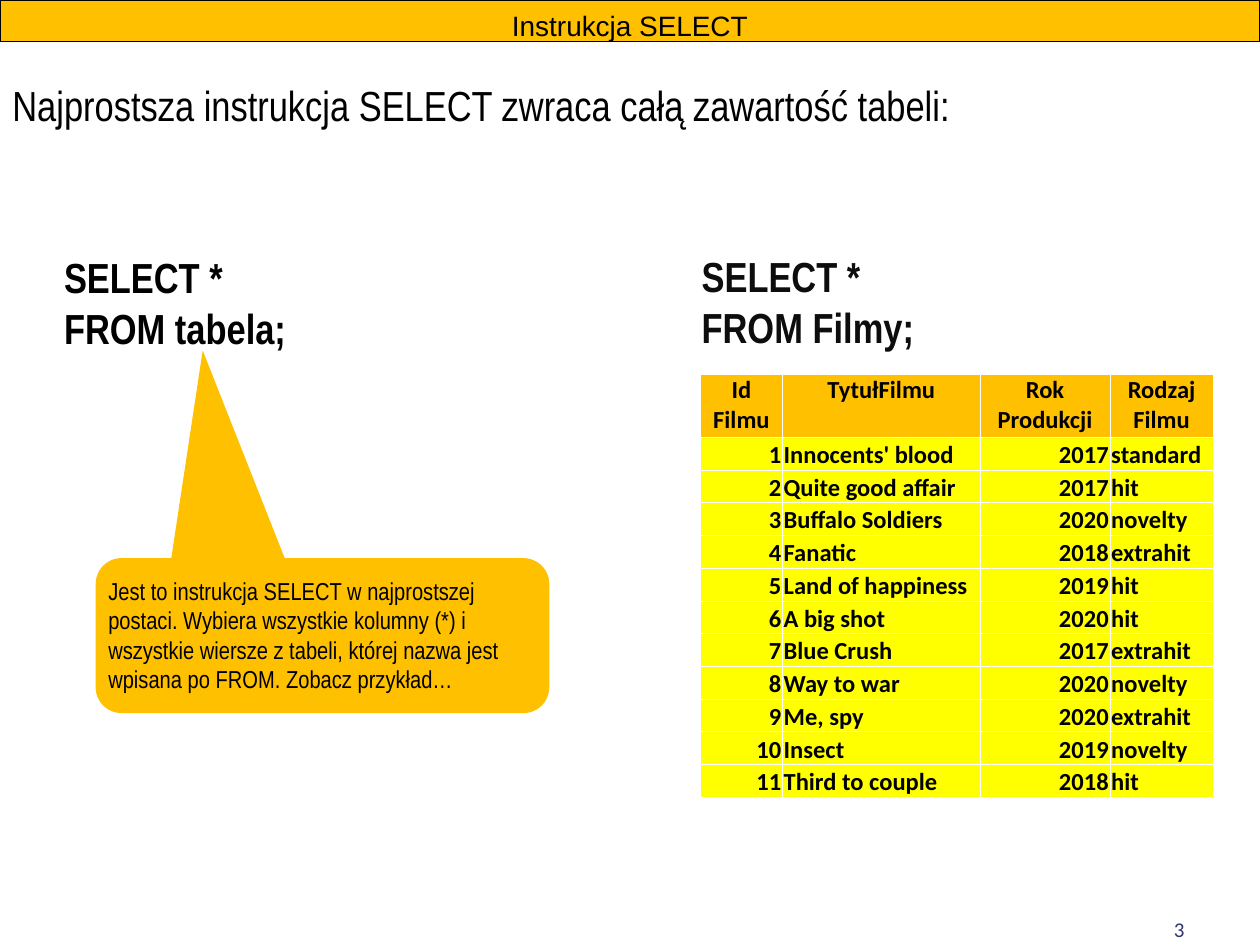
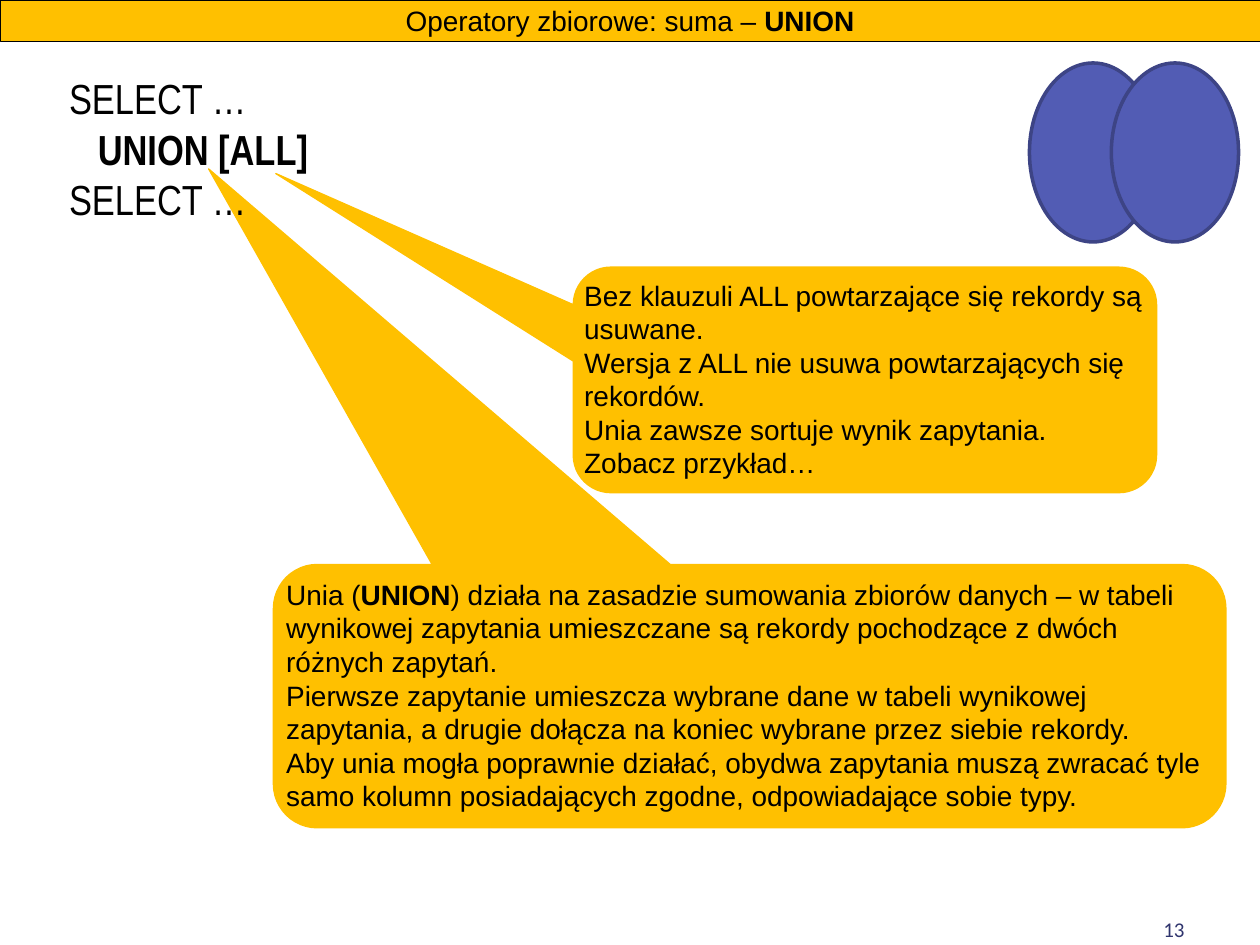
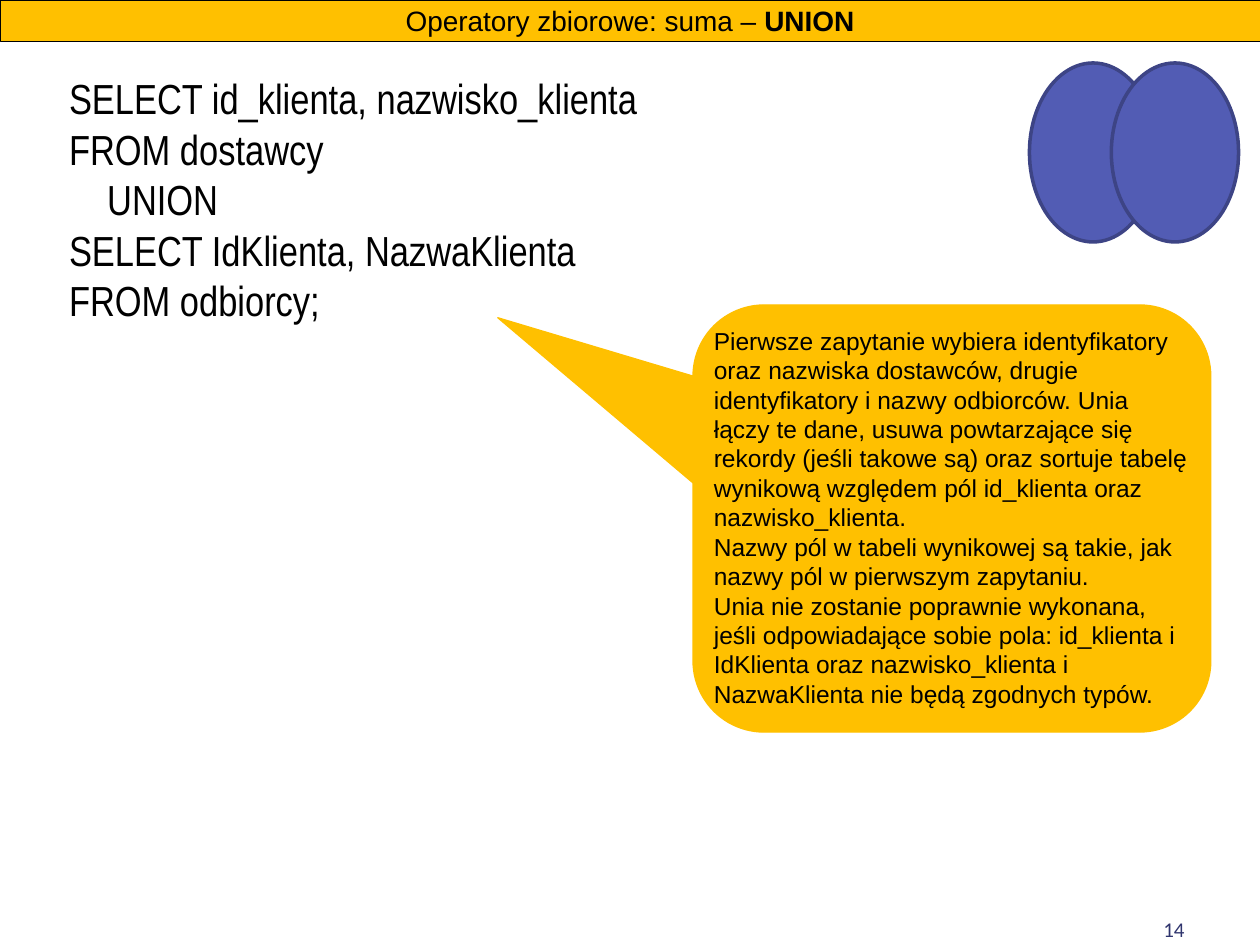
from dataclasses import dataclass

from lxml import etree
from pptx import Presentation
from pptx.dml.color import RGBColor
from pptx.enum import shapes, text
from pptx.oxml import ns
from pptx.util import Pt

# Shared colours, fonts and measures
AMBER = RGBColor(0xFF, 0xC0, 0x00)
YELLOW = RGBColor(0xFF, 0xFF, 0x00)
BLACK = RGBColor(0x00, 0x00, 0x00)
NEAR_BLACK = RGBColor(0x0D, 0x0D, 0x0D)
WHITE = RGBColor(0xFF, 0xFF, 0xFF)
NAVY = RGBColor(0x30, 0x35, 0x6E)
BLUE = RGBColor(0x52, 0x5C, 0xB4)
DARK_BLUE = RGBColor(0x3D, 0x44, 0x85)
SANS, NARROW, TABLE_FONT = "Arial", "Arial Narrow", "Calibri"
SLIDE_WIDTH, SLIDE_HEIGHT = 720, 540
LEFT, CENTER, RIGHT = text.PP_ALIGN.LEFT, text.PP_ALIGN.CENTER, text.PP_ALIGN.RIGHT
TOP, MIDDLE, BOTTOM = text.MSO_ANCHOR.TOP, text.MSO_ANCHOR.MIDDLE, text.MSO_ANCHOR.BOTTOM
DEFAULT_INSETS = (7.2, 3.6, 7.2, 3.6)
NO_INSETS = (0, 0, 0, 0)


@dataclass(frozen=True)
class Box:
    left: float
    top: float
    width: float
    height: float

    def lengths(self) -> tuple:
        return Pt(self.left), Pt(self.top), Pt(self.width), Pt(self.height)


@dataclass(frozen=True)
class Style:
    font: str
    size: float
    color: RGBColor = BLACK
    bold: bool = False
    align: text.PP_ALIGN = LEFT


@dataclass(frozen=True)
class Run:
    text: str
    bold: bool = False


@dataclass(frozen=True)
class Line:
    runs: tuple[Run, ...]
    indent: float = 0


@dataclass(frozen=True)
class Callout:
    box: Box
    tip: tuple[float, float]
    lines: list[Line]
    style: Style
    insets: tuple = NO_INSETS
    outlined: bool = True


CODE = Style(NARROW, 24)
BAND = Style(SANS, 16, align=CENTER)
NUMBER = Style(TABLE_FONT, 12, NAVY, align=RIGHT)


def plain(*texts: str) -> list[Line]:
    return [Line((Run(content),)) for content in texts]


# Text helpers
def write(frame, lines: list[Line], style: Style) -> None:
    for index, line in enumerate(lines):
        paragraph = frame.paragraphs[0] if index == 0 else frame.add_paragraph()
        paragraph.alignment = style.align
        if line.indent:
            paragraph._p.get_or_add_pPr().set("marL", str(Pt(line.indent)))
        for part in line.runs:
            for number, piece in enumerate(part.text.split("\n")):
                if number:
                    paragraph.add_line_break()
                run = paragraph.add_run()
                run.text = piece
                run.font.name = style.font
                run.font.size = Pt(style.size)
                run.font.bold = style.bold or part.bold
                run.font.color.rgb = style.color


def set_frame(frame, insets: tuple, anchor: text.MSO_ANCHOR) -> None:
    frame.word_wrap = True
    frame.vertical_anchor = anchor
    (frame.margin_left, frame.margin_top,
     frame.margin_right, frame.margin_bottom) = map(Pt, insets)


def add_text(slide, box: Box, lines: list[Line], style: Style,
             anchor: text.MSO_ANCHOR = TOP) -> None:
    frame = slide.shapes.add_textbox(*box.lengths()).text_frame
    set_frame(frame, DEFAULT_INSETS, anchor)
    write(frame, lines, style)


# Shape helpers
def add_filled(parent, kind, box: Box, fill: RGBColor,
               line: RGBColor | None = None, line_width: float = 0):
    shape = parent.shapes.add_shape(kind, *box.lengths())
    shape.shadow.inherit = False
    shape.fill.solid()
    shape.fill.fore_color.rgb = fill
    if line is None:
        shape.line.fill.background()
    else:
        shape.line.color.rgb = line
        shape.line.width = Pt(line_width)
    return shape


def add_callout(slide, callout: Callout) -> None:
    shape = add_filled(slide, shapes.MSO_SHAPE.ROUNDED_RECTANGULAR_CALLOUT, callout.box,
                       AMBER, AMBER if callout.outlined else None, 0.75)
    for index, value in enumerate((*callout.tip, 0.16667)):
        shape.adjustments[index] = value
    set_frame(shape.text_frame, callout.insets, TOP)
    write(shape.text_frame, callout.lines, callout.style)


def add_band(slide, runs: tuple[Run, ...], line_width: float, insets: tuple,
             anchor: text.MSO_ANCHOR) -> None:
    band = add_filled(slide, shapes.MSO_SHAPE.RECTANGLE, Box(0, 0, SLIDE_WIDTH, 23.76),
                      AMBER, BLACK, line_width)
    set_frame(band.text_frame, insets, anchor)
    write(band.text_frame, [Line(runs)], BAND)


def add_union_band(slide) -> None:
    add_band(slide, (Run("Operatory zbiorowe: suma – "), Run("UNION", True)),
             0.25, (2.88, 1.44, 2.88, 1.44), MIDDLE)


def add_set_diagram(slide) -> None:
    group = slide.shapes.add_group_shape()
    for left in (588.24, 635.04):
        add_filled(group, shapes.MSO_SHAPE.OVAL, Box(left, 36, 72.72, 102.24),
                   BLUE, DARK_BLUE, 2)


def add_number(slide, number: int) -> None:
    add_text(slide, Box(516.24, 504, 167.76, 37.44), plain(str(number)), NUMBER, BOTTOM)


# Table helpers
def set_borders(cell, color: RGBColor, width: float) -> None:
    properties = cell._tc.get_or_add_tcPr()
    for index, side in enumerate(("a:lnL", "a:lnR", "a:lnT", "a:lnB")):
        border = etree.Element(ns.qn(side), w=str(Pt(width)))
        fill = etree.SubElement(border, ns.qn("a:solidFill"))
        etree.SubElement(fill, ns.qn("a:srgbClr"), val=str(color))
        properties.insert(index, border)


def add_film_table(slide, box: Box, widths: list[float], header_height: float,
                   rows: list[tuple]) -> None:
    table = slide.shapes.add_table(len(rows), len(widths), *box.lengths()).table
    table.first_row = table.horz_banding = False
    for column, width in zip(table.columns, widths):
        column.width = Pt(width)
    body_height = (box.height - header_height) / (len(rows) - 1)
    for row_index, values in enumerate(rows):
        header = row_index == 0
        table.rows[row_index].height = Pt(header_height if header else body_height)
        for column_index, value in enumerate(values):
            cell = table.cell(row_index, column_index)
            cell.fill.solid()
            cell.fill.fore_color.rgb = AMBER if header else YELLOW
            set_borders(cell, WHITE, 0.5)
            cell.margin_left = cell.margin_top = cell.margin_right = Pt(0.72)
            cell.margin_bottom = Pt(0)
            cell.vertical_anchor = TOP if header else BOTTOM
            align = CENTER if header else RIGHT if isinstance(value, int) else LEFT
            write(cell.text_frame, plain(str(value)),
                  Style(TABLE_FONT, 14, bold=True, align=align))


FILMS = [
    ("Id\nFilmu", "TytułFilmu", "Rok\nProdukcji", "Rodzaj\nFilmu"),
    (1, "Innocents' blood", 2017, "standard"),
    (2, "Quite good affair", 2017, "hit"),
    (3, "Buffalo Soldiers", 2020, "novelty"),
    (4, "Fanatic", 2018, "extrahit"),
    (5, "Land of happiness", 2019, "hit"),
    (6, "A big shot", 2020, "hit"),
    (7, "Blue Crush", 2017, "extrahit"),
    (8, "Way to war", 2020, "novelty"),
    (9, "Me, spy", 2020, "extrahit"),
    (10, "Insect", 2019, "novelty"),
    (11, "Third to couple", 2018, "hit"),
]


# Slides
def build_select(slide) -> None:
    add_number(slide, 3)
    add_text(slide, Box(29.52, 140.4, 239.04, 98.64), plain("SELECT *", "FROM tabela;"),
             Style(NARROW, 24, bold=True))
    add_text(slide, Box(393.84, 139.68, 205.2, 64.8), plain("SELECT *", "FROM Filmy;"),
             Style(NARROW, 24, NEAR_BLACK, bold=True))
    add_film_table(slide, Box(400.32, 213.84, 293.04, 241.92),
                   [46.8, 113.04, 74.16, 59.04], 36, FILMS)
    add_callout(slide, Callout(
        Box(54.72, 318.96, 259.2, 88.56), (-0.264, -1.84),
        plain("Jest to instrukcja SELECT w najprostszej postaci. Wybiera wszystkie kolumny (*) "
              "i wszystkie wiersze z tabeli, której nazwa jest wpisana po FROM. "
              "Zobacz przykład…"),
        Style(NARROW, 14), (2.88, 5.76, 2.88, 3.6), outlined=False))
    add_text(slide, Box(0, 41.76, 689.76, 48.24),
             plain("Najprostsza instrukcja SELECT zwraca całą zawartość tabeli:"), CODE)
    add_band(slide, (Run("Instrukcja SELECT"),), 0.75, (7.2, 5, 7.2, 0), TOP)


def build_union(slide) -> None:
    add_number(slide, 13)
    add_union_band(slide)
    add_callout(slide, Callout(
        Box(327.6, 152.64, 333.36, 128.88), (-1.01, -0.915),
        plain("Bez klauzuli ALL powtarzające się rekordy są usuwane.\n"
              "Wersja z ALL nie usuwa powtarzających się rekordów.",
              "Unia zawsze sortuje wynik zapytania.", "Zobacz przykład…"),
        Style(SANS, 16)))
    definition = Line((
        Run("Unia ("), Run("UNION", True),
        Run(") działa na zasadzie sumowania zbiorów danych – w tabeli wynikowej zapytania "
            "umieszczane są rekordy pochodzące z dwóch różnych zapytań.")))
    add_callout(slide, Callout(
        Box(156.24, 322.56, 544.32, 150.48), (-0.568, -2.002),
        [definition, *plain(
            "Pierwsze zapytanie umieszcza wybrane dane w tabeli wynikowej zapytania, "
            "a drugie dołącza na koniec wybrane przez siebie rekordy.",
            "Aby unia mogła poprawnie działać, obydwa zapytania muszą zwracać tyle samo "
            "kolumn posiadających zgodne, odpowiadające sobie typy.")],
        Style(SANS, 16)))
    add_set_diagram(slide)
    select = Line((Run("SELECT …"),))
    add_text(slide, Box(32.4, 38.16, 155.52, 113.04),
             [select, Line((Run("UNION [ALL]", True),), 16.4), select], CODE)


def build_union_example(slide) -> None:
    add_number(slide, 14)
    add_union_band(slide)
    add_text(slide, Box(32.4, 38.16, 390.96, 167.04),
             [*plain("SELECT id_klienta, nazwisko_klienta", "FROM dostawcy"),
              Line((Run("UNION"),), 21.8),
              *plain("SELECT IdKlienta, NazwaKlienta", "FROM odbiorcy;")], CODE)
    add_callout(slide, Callout(
        Box(396, 174.24, 295.92, 244.08), (-0.877, -0.47),
        plain("Pierwsze zapytanie wybiera identyfikatory oraz nazwiska dostawców, drugie "
              "identyfikatory i nazwy odbiorców. Unia łączy te dane, usuwa powtarzające się "
              "rekordy (jeśli takowe są) oraz sortuje tabelę wynikową względem pól "
              "id_klienta oraz nazwisko_klienta.",
              "Nazwy pól w tabeli wynikowej są takie, jak nazwy pól w pierwszym zapytaniu.",
              "Unia nie zostanie poprawnie wykonana, jeśli odpowiadające sobie pola: "
              "id_klienta i IdKlienta oraz nazwisko_klienta i NazwaKlienta nie będą "
              "zgodnych typów."),
        Style(SANS, 14)))
    add_set_diagram(slide)


presentation = Presentation()
presentation.slide_width, presentation.slide_height = Pt(SLIDE_WIDTH), Pt(SLIDE_HEIGHT)
for build in (build_select, build_union, build_union_example):
    build(presentation.slides.add_slide(presentation.slide_layouts[6]))
presentation.save("out.pptx")
